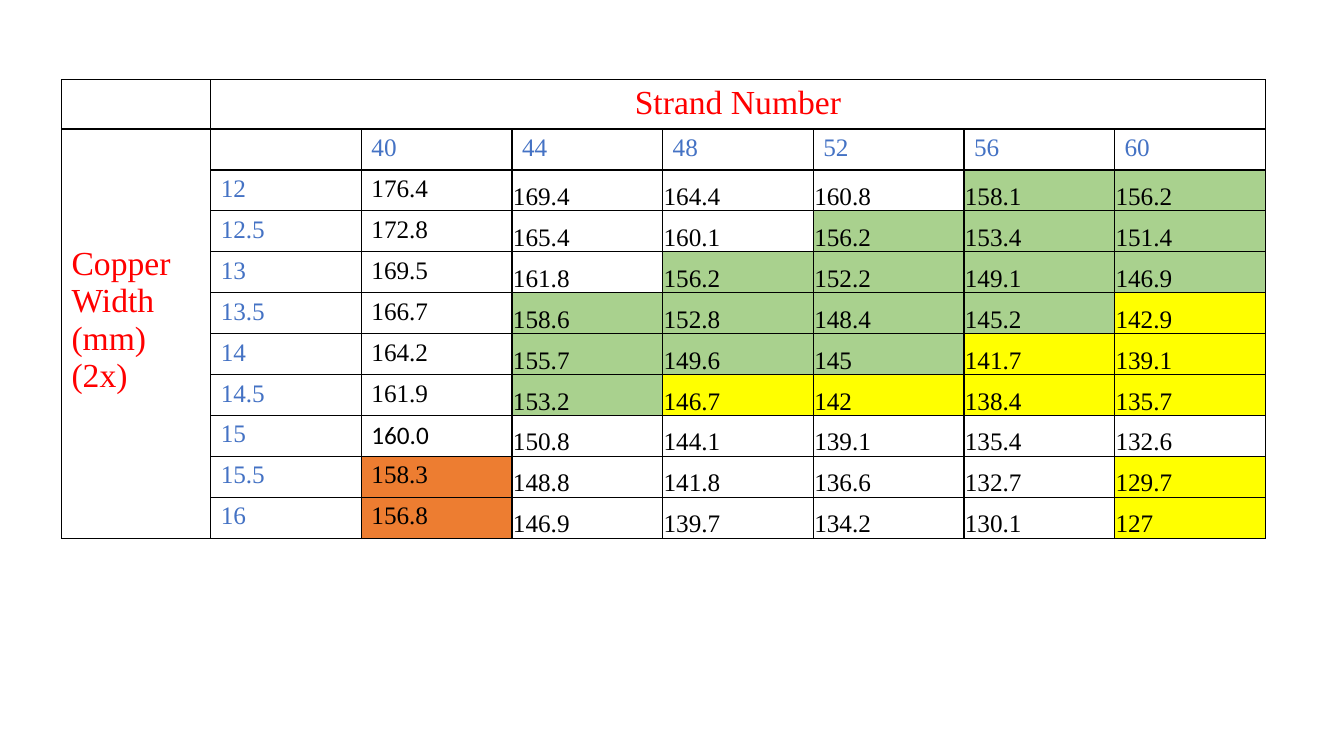
import lxml.etree
import pptx
import pptx.dml.color
import pptx.enum.text
import pptx.oxml.ns
import pptx.util

RGBColor = pptx.dml.color.RGBColor
Inches = pptx.util.Inches
Pt = pptx.util.Pt

BLACK = RGBColor(0x00, 0x00, 0x00)
WHITE = RGBColor(0xFF, 0xFF, 0xFF)
RED = RGBColor(0xFF, 0x00, 0x00)
BLUE = RGBColor(0x44, 0x72, 0xC4)
GREEN = RGBColor(0xA9, 0xD1, 0x8E)
YELLOW = RGBColor(0xFF, 0xFF, 0x00)
ORANGE = RGBColor(0xED, 0x7D, 0x31)

FONT = "Times New Roman"
FILLS = {"-": WHITE, "G": GREEN, "Y": YELLOW, "O": ORANGE}

COLUMN_TITLE = "Strand Number"
ROW_TITLE = "Copper Width (mm) (2x)"
STRAND_NUMBERS = ["40", "44", "48", "52", "56", "60"]
# Copper width, one value per strand number, one fill code per value
WIDTH_ROWS = [
    ("12", ["176.4", "169.4", "164.4", "160.8", "158.1", "156.2"], "----GG"),
    ("12.5", ["172.8", "165.4", "160.1", "156.2", "153.4", "151.4"], "---GGG"),
    ("13", ["169.5", "161.8", "156.2", "152.2", "149.1", "146.9"], "--GGGG"),
    ("13.5", ["166.7", "158.6", "152.8", "148.4", "145.2", "142.9"], "-GGGGY"),
    ("14", ["164.2", "155.7", "149.6", "145", "141.7", "139.1"], "-GGGYY"),
    ("14.5", ["161.9", "153.2", "146.7", "142", "138.4", "135.7"], "-GYYYY"),
    ("15", ["160.0", "150.8", "144.1", "139.1", "135.4", "132.6"], "------"),
    ("15.5", ["158.3", "148.8", "141.8", "136.6", "132.7", "129.7"], "O----Y"),
    ("16", ["156.8", "146.9", "139.7", "134.2", "130.1", "127"], "O----Y"),
]
CALIBRI_VALUE = "160.0"

LEFT, TOP, WIDTH, HEIGHT = 0.61, 0.79, 11.94, 4.55
TITLE_COLUMN_WIDTH, TITLE_ROW_HEIGHT = 1.48, 0.49
ROW_TITLE_OFFSET = 1.16
ROW_COUNT = len(WIDTH_ROWS) + 2
COLUMN_COUNT = len(STRAND_NUMBERS) + 2


def add_borders(cell):
    properties = cell._tc.get_or_add_tcPr()
    for index, side in enumerate(("lnL", "lnR", "lnT", "lnB")):
        line = lxml.etree.Element(pptx.oxml.ns.qn(f"a:{side}"), w=str(Pt(1)))
        fill = lxml.etree.SubElement(line, pptx.oxml.ns.qn("a:solidFill"))
        lxml.etree.SubElement(fill, pptx.oxml.ns.qn("a:srgbClr"), val=str(BLACK))
        properties.insert(index, line)


def write_cell(cell, text, size, color, font=FONT):
    cell.text_frame.text = text
    run_font = cell.text_frame.paragraphs[0].runs[0].font
    run_font.name = font
    run_font.size = Pt(size)
    run_font.color.rgb = color


def add_grid(slide):
    table = slide.shapes.add_table(
        ROW_COUNT, COLUMN_COUNT,
        Inches(LEFT), Inches(TOP), Inches(WIDTH), Inches(HEIGHT),
    ).table
    table.first_row = False
    table.horz_banding = False
    for index, column in enumerate(table.columns):
        other_width = (WIDTH - TITLE_COLUMN_WIDTH) / (COLUMN_COUNT - 1)
        column.width = Inches(other_width if index else TITLE_COLUMN_WIDTH)
    for index, row in enumerate(table.rows):
        other_height = (HEIGHT - TITLE_ROW_HEIGHT) / (ROW_COUNT - 1)
        row.height = Inches(other_height if index else TITLE_ROW_HEIGHT)
        for cell in row.cells:
            cell.fill.solid()
            cell.fill.fore_color.rgb = WHITE
            add_borders(cell)
    return table


def fill_titles(table):
    column_title = table.cell(0, 1)
    column_title.merge(table.cell(0, COLUMN_COUNT - 1))
    write_cell(column_title, COLUMN_TITLE, 24, RED)
    column_title.text_frame.paragraphs[0].alignment = pptx.enum.text.PP_ALIGN.CENTER

    row_title = table.cell(1, 0)
    row_title.merge(table.cell(ROW_COUNT - 1, 0))
    write_cell(row_title, ROW_TITLE, 24, RED)
    row_title.margin_top = Inches(ROW_TITLE_OFFSET)


def fill_values(table):
    for column, strand_number in enumerate(STRAND_NUMBERS, start=2):
        write_cell(table.cell(1, column), strand_number, 18, BLUE)
    for row, (copper_width, values, codes) in enumerate(WIDTH_ROWS, start=2):
        write_cell(table.cell(row, 1), copper_width, 18, BLUE)
        for column, (value, code) in enumerate(zip(values, codes), start=2):
            cell = table.cell(row, column)
            font = "Calibri" if value == CALIBRI_VALUE else FONT
            write_cell(cell, value, 18, BLACK, font)
            cell.fill.fore_color.rgb = FILLS[code]
            if column > 2:
                cell.vertical_anchor = pptx.enum.text.MSO_ANCHOR.BOTTOM
                cell.margin_left = cell.margin_right = cell.margin_top = Inches(0.01)
                cell.margin_bottom = 0


def main():
    presentation = pptx.Presentation()
    presentation.slide_width = Inches(13.33)
    presentation.slide_height = Inches(7.5)
    slide = presentation.slides.add_slide(presentation.slide_layouts[6])
    table = add_grid(slide)
    fill_titles(table)
    fill_values(table)
    presentation.save("out.pptx")


if __name__ == "__main__":
    main()
